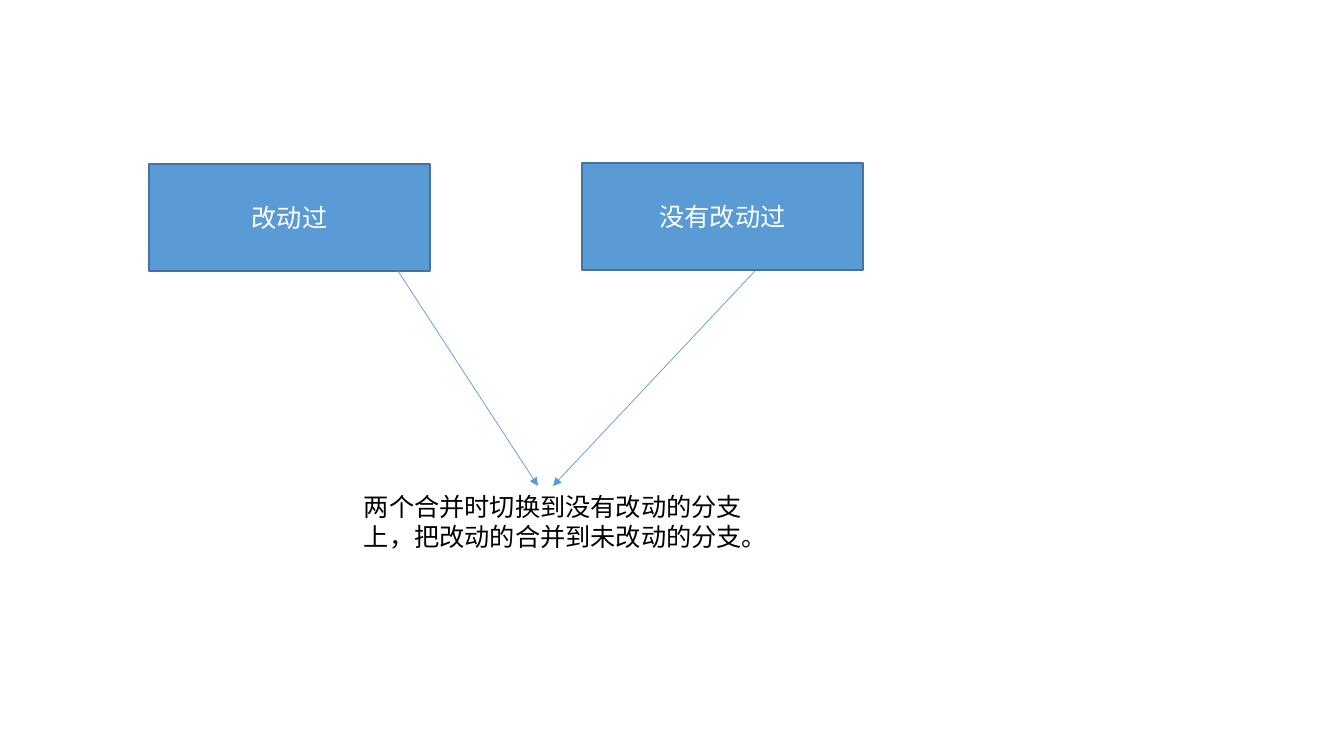
"""Build a slide on merging a changed branch into an unchanged one."""
from lxml.etree import SubElement
from pptx import Presentation
from pptx.dml.color import RGBColor
from pptx.enum.shapes import MSO_CONNECTOR, MSO_SHAPE
from pptx.enum.text import MSO_ANCHOR, MSO_AUTO_SIZE, PP_ALIGN
from pptx.oxml.ns import qn
from pptx.util import Emu, Pt

BLUE = RGBColor(0x5B, 0x9B, 0xD5)
DARK_BLUE = RGBColor(0x43, 0x73, 0x9E)
WHITE = RGBColor(0xFF, 0xFF, 0xFF)
BLACK = RGBColor(0x00, 0x00, 0x00)
EMU_PER_PX = 914400 / 100.8
BRANCH_WIDTH, BRANCH_HEIGHT = 281, 107
ARROW_TOP, ARROW_BOTTOM = 271, 486


def px(*lengths):
    return [Emu(round(length * EMU_PER_PX)) for length in lengths]


def write(frame, wording, color, align):
    frame.word_wrap = True
    paragraph = frame.paragraphs[0]
    paragraph.text = wording
    paragraph.alignment = align
    paragraph.font.name = "Calibri"
    paragraph.font.size = Pt(18)
    paragraph.font.color.rgb = color


def add_branch(slide, left, top, wording):
    branch = slide.shapes.add_shape(
        MSO_SHAPE.RECTANGLE, *px(left, top, BRANCH_WIDTH, BRANCH_HEIGHT))
    branch.shadow.inherit = False
    branch.fill.solid()
    branch.fill.fore_color.rgb = BLUE
    branch.line.color.rgb = DARK_BLUE
    branch.line.width = Pt(1)
    branch.text_frame.vertical_anchor = MSO_ANCHOR.MIDDLE
    write(branch.text_frame, wording, WHITE, PP_ALIGN.CENTER)


def add_merge_arrow(slide, start_x, end_x):
    arrow = slide.shapes.add_connector(
        MSO_CONNECTOR.STRAIGHT, *px(start_x, ARROW_TOP, end_x, ARROW_BOTTOM))
    arrow.line.color.rgb = BLUE
    arrow.line.width = Pt(0.5)
    SubElement(arrow.line._get_or_add_ln(), qn("a:tailEnd"), type="triangle")
    SubElement(arrow._element.spPr, qn("a:effectLst"))


def add_advice(slide, left, top, width, height, wording):
    advice = slide.shapes.add_textbox(*px(left, top, width, height))
    write(advice.text_frame, wording, BLACK, PP_ALIGN.LEFT)
    advice.text_frame.auto_size = MSO_AUTO_SIZE.SHAPE_TO_FIT_TEXT


def main():
    deck = Presentation()
    deck.slide_width, deck.slide_height = px(1344, 756)
    slide = deck.slides.add_slide(deck.slide_layouts[6])
    add_branch(slide, 149, 164, "改动过")
    add_branch(slide, 582, 163, "没有改动过")
    add_merge_arrow(slide, 398, 538)
    add_merge_arrow(slide, 755, 553)
    add_advice(slide, 354, ARROW_BOTTOM, 401, 72,
               "两个合并时切换到没有改动的分支上，把改动的合并到未改动的分支。")
    deck.save("out.pptx")


if __name__ == "__main__":
    main()
